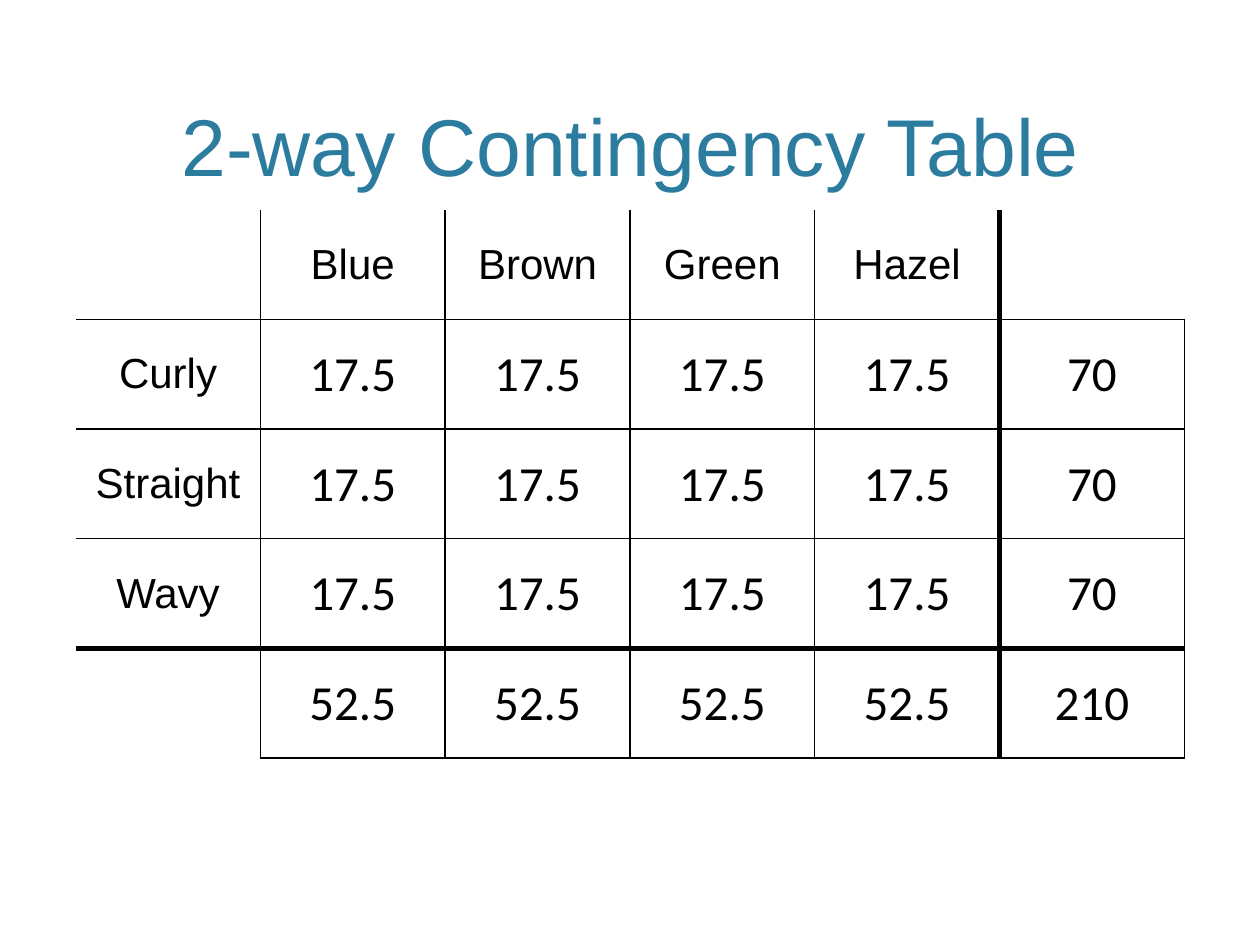
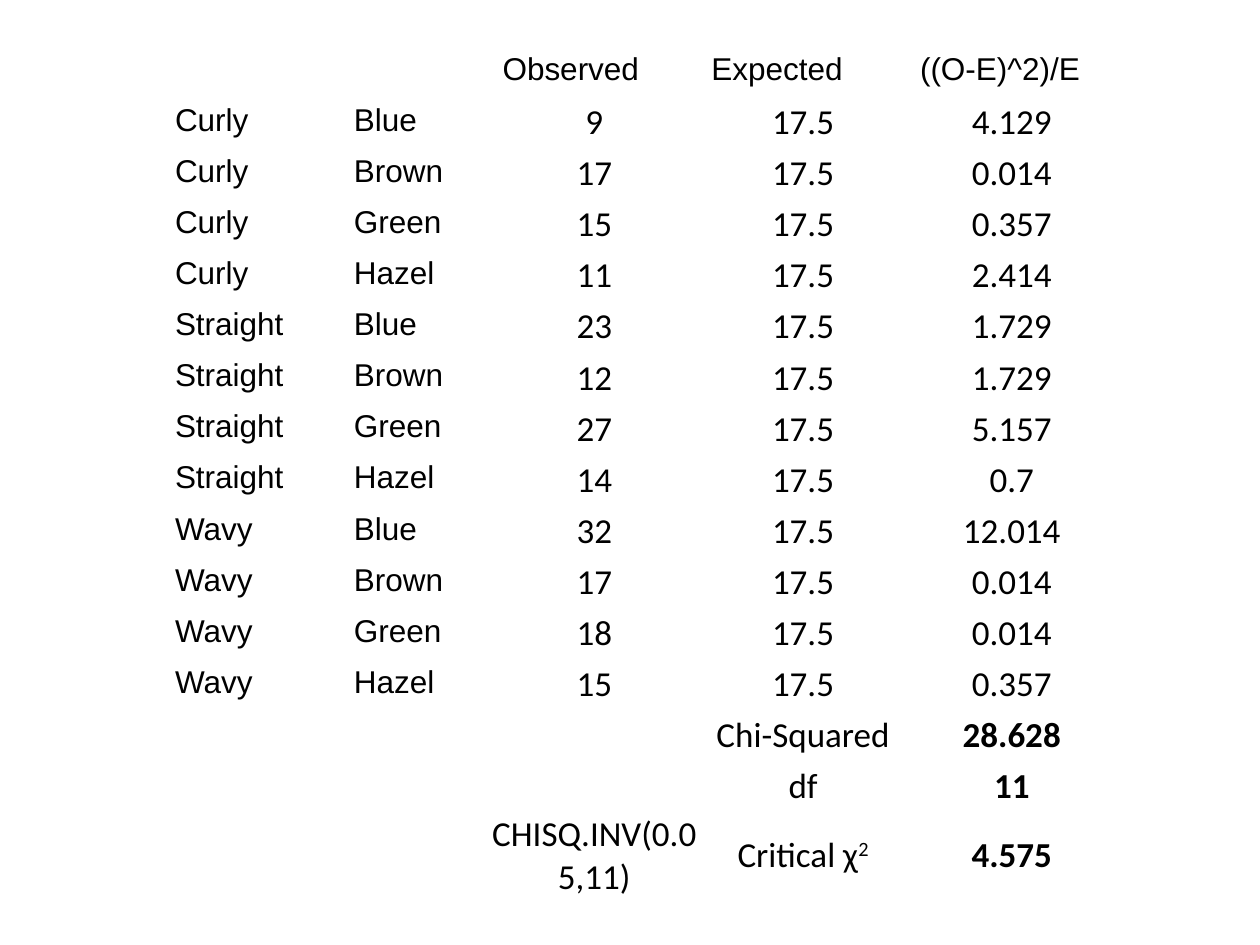
from itertools import product

from lxml.etree import SubElement
from pptx import Presentation
from pptx.dml.color import RGBColor
from pptx.enum.text import MSO_ANCHOR as Anchor, PP_ALIGN as Align
from pptx.oxml.ns import qn
from pptx.util import Pt

# Content
TITLE = "2-way Contingency Table"
HAIR = ["Curly", "Straight", "Wavy"]
EYES = ["Blue", "Brown", "Green", "Hazel"]
EXPECTED = 17.5
OBSERVED = [9, 17, 15, 11, 23, 12, 27, 14, 32, 17, 18, 15]
HEADINGS = ["", "", "Observed", "Expected", "((O-E)^2)/E"]
RESULTS = [
    ["", "", "", "Chi-Squared", "28.628"],
    ["", "", "", "df", "11"],
    ["", "", "CHISQ.INV(0.05,11)", "Critical χ^2", "4.575"],
]

# Shared look
BLACK, TEAL = "000000", "2C7C9F"
THIN, THICK = 1, 3
TIGHT = {"margin_left": Pt(0.72), "margin_right": Pt(0.72),
         "margin_top": Pt(0.72), "margin_bottom": 0}


def rgb(color):
    return RGBColor.from_string(color)


def set_all(obj, values):
    for name, value in values.items():
        setattr(obj, name, value)


def add_run(p, text, font, size, color=BLACK, bold=False):
    r = p.add_run()
    r.text = text
    set_all(r.font, {"name": font, "size": Pt(size), "bold": bold})
    r.font.color.rgb = rgb(color)
    return r


def add_title(s, text):
    tf = s.shapes.add_textbox(Pt(43.2), Pt(8.64), Pt(633.6), Pt(105.12)).text_frame
    set_all(tf, {"word_wrap": True, "vertical_anchor": Anchor.BOTTOM})
    p = tf.paragraphs[0]
    p.alignment = Align.CENTER
    add_run(p, text, "Arial", 46, TEAL)


def set_borders(cell, widths):
    """Draw each side of a cell; a width of 0 means no line."""
    tcPr = cell._tc.get_or_add_tcPr()
    for side, width in zip("LRTB", widths):
        ln = SubElement(tcPr, qn(f"a:ln{side}"), w=str(Pt(width)))
        if width:
            fill = SubElement(ln, qn("a:solidFill"))
            SubElement(fill, qn("a:srgbClr"), val=BLACK)
        else:
            SubElement(ln, qn("a:noFill"))


def fill_cell(cell, text, font, size, align, anchor, bold=False):
    cell.vertical_anchor = anchor
    if font == "Calibri":
        set_all(cell, TIGHT)
    p = cell.text_frame.paragraphs[0]
    p.alignment = align
    base, _, power = text.partition("^") if font == "Calibri" else (text, "", "")
    add_run(p, base, font, size, bold=bold)
    if power:
        r = add_run(p, power, font, size)
        r._r.get_or_add_rPr().set("baseline", "30000")


def add_grid(s, rows, left, top, col_widths, row_height, style, borders):
    """style(row, col) gives the text format, borders(row, col) the line widths."""
    table = s.shapes.add_table(len(rows), len(col_widths), Pt(left), Pt(top),
                               Pt(sum(col_widths)), Pt(row_height * len(rows))).table
    set_all(table, {"first_row": False, "horz_banding": False})
    for column, width in zip(table.columns, col_widths):
        column.width = Pt(width)
    for i, row in enumerate(rows):
        table.rows[i].height = Pt(row_height)
        for j, text in enumerate(row):
            cell = table.cell(i, j)
            set_borders(cell, borders(i, j))
            cell.fill.background()
            if text:
                fill_cell(cell, text, **style(i, j))


# Contingency table: a thick rule sets off the totals, outer corners stay open
def contingency_style(i, j):
    label = i == 0 or j == 0
    return {"font": "Arial" if label else "Calibri", "size": 24 if label else 28,
            "align": Align.CENTER, "anchor": Anchor.MIDDLE}


def contingency_borders(i, j):
    def edge(k, last, inside):
        if k == 0 or (k == last and not inside):
            return 0
        return THICK if k == last - 1 else THIN

    rows, cols = len(HAIR) + 2, len(EYES) + 2
    return (edge(j, cols, i > 0), edge(j + 1, cols, i > 0),
            edge(i, rows, j > 0), edge(i + 1, rows, j > 0))


def contingency_rows():
    n_hair, n_eyes = len(HAIR), len(EYES)
    body = [[hair] + [f"{EXPECTED:g}"] * n_eyes + [f"{EXPECTED * n_eyes:g}"] for hair in HAIR]
    totals = [""] + [f"{EXPECTED * n_hair:g}"] * n_eyes + [f"{EXPECTED * n_hair * n_eyes:g}"]
    return [["", *EYES, ""], *body, totals]


# Chi-squared table: no rules, results in bold at the foot
def chi_style(i, j):
    if i == 0 or j < 2:
        return {"font": "Arial", "size": 18, "align": Align.LEFT, "anchor": Anchor.TOP}
    return {"font": "Calibri", "size": 20, "align": Align.CENTER, "anchor": Anchor.MIDDLE,
            "bold": j == 4 and i > len(OBSERVED)}


def chi_rows():
    body = [[hair, eyes, str(o), f"{EXPECTED:g}", f"{round((o - EXPECTED) ** 2 / EXPECTED, 3):g}"]
            for (hair, eyes), o in zip(product(HAIR, EYES), OBSERVED)]
    return [HEADINGS, *body, *RESULTS]


def main():
    prs = Presentation()
    set_all(prs, {"slide_width": Pt(720), "slide_height": Pt(540)})
    blank = prs.slide_layouts[6]

    s = prs.slides.add_slide(blank)
    add_title(s, TITLE)
    add_grid(s, contingency_rows(), 43.2, 120, [105.6] * 6, 62.64,
             contingency_style, contingency_borders)

    s = prs.slides.add_slide(blank)
    add_grid(s, chi_rows(), 92.8, 25.92, [102.24, 84.96] + [119.3] * 3, 29.2,
             chi_style, lambda i, j: (0, 0, 0, 0))

    prs.save("out.pptx")


if __name__ == "__main__":
    main()
